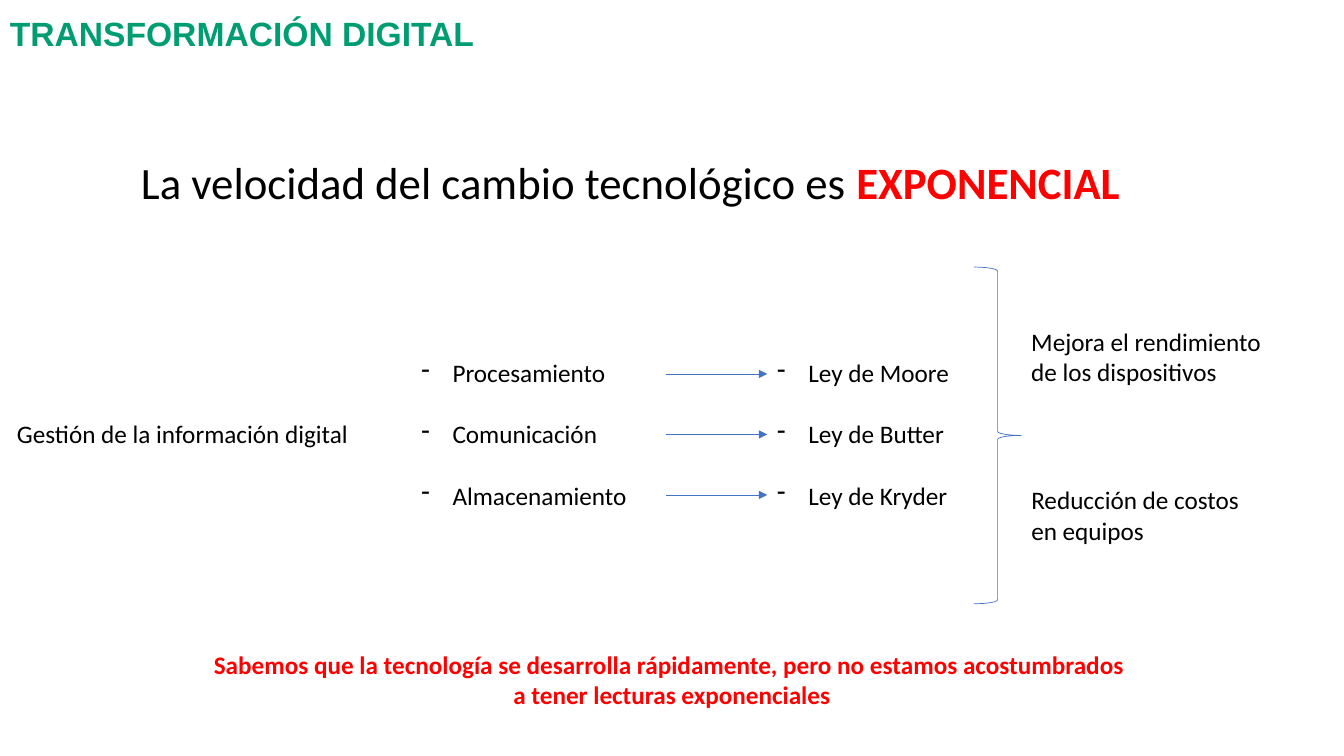
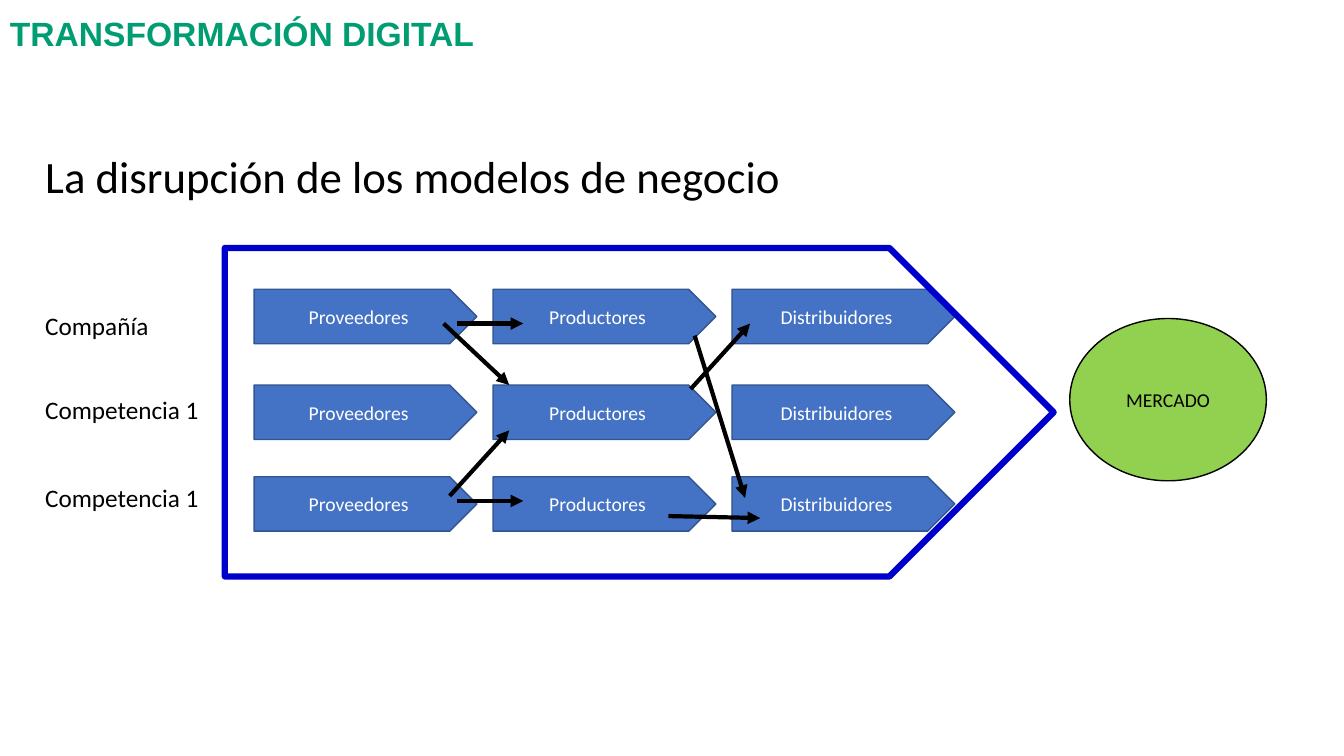
"""Build two slides on digital transformation: exponential change and disrupted business models."""
import dataclasses
import typing

import lxml.etree
import pptx
import pptx.dml.color
import pptx.enum.shapes
import pptx.enum.text
import pptx.oxml.ns
import pptx.util

Inches = pptx.util.Inches
Pt = pptx.util.Pt
RGBColor = pptx.dml.color.RGBColor
Shapes = pptx.enum.shapes.MSO_SHAPE
Align = pptx.enum.text.PP_ALIGN
Anchor = pptx.enum.text.MSO_ANCHOR
qn = pptx.oxml.ns.qn

BLACK = RGBColor(0x00, 0x00, 0x00)
WHITE = RGBColor(0xFF, 0xFF, 0xFF)
RED = RGBColor(0xFF, 0x00, 0x00)
TITLE_GREEN = RGBColor(0x00, 0x9D, 0x72)
BLUE = RGBColor(0x44, 0x72, 0xC4)
EDGE_BLUE = RGBColor(0x32, 0x54, 0x91)
FRAME_BLUE = RGBColor(0x00, 0x00, 0xCC)
MARKET_GREEN = RGBColor(0x92, 0xD0, 0x50)

TITLE = {"name": "Arial", "size": Pt(24), "bold": True}
HEADLINE = {"name": "Calibri", "size": Pt(32), "bold": False}
STRONG_HEADLINE = HEADLINE | {"bold": True}
BODY = {"name": "Calibri", "size": Pt(18), "bold": False}
STRONG_BODY = BODY | {"bold": True}
CAPTION = {"name": "Calibri", "size": Pt(14), "bold": False}


class Box(typing.NamedTuple):
    left: float
    top: float
    width: float
    height: float


class Run(typing.NamedTuple):
    text: str
    format: dict = BODY
    color: RGBColor = BLACK


class Outline(typing.NamedTuple):
    color: RGBColor
    points: float


@dataclasses.dataclass(frozen=True)
class Arrow:
    x1: float
    y1: float
    x2: float
    y2: float
    outline: Outline = Outline(BLACK, 3)


THIN_BLUE = Outline(BLUE, 0.5)
ROW_PITCH = 0.6
STAGES = ("Proveedores", "Productores", "Distribuidores")
COMPANIES = (
    ("Compañía", 3.03, 2.87),
    ("Competencia 1", 3.86, 3.82),
    ("Competencia 1", 4.74, 4.73),
)
FLOWS = (
    Arrow(4.4, 3.21, 5.05, 3.82),
    Arrow(4.53, 3.21, 5.19, 3.21),
    Arrow(4.53, 4.97, 5.19, 4.97),
    Arrow(4.46, 4.92, 5.05, 4.27),
    Arrow(6.85, 3.86, 7.44, 3.21),
    Arrow(6.89, 3.33, 7.39, 4.94),
    Arrow(6.63, 5.12, 7.54, 5.14),
)


def write(paragraph, runs: typing.Iterable[Run]) -> None:
    for part in runs:
        run = paragraph.add_run()
        run.text = part.text
        for attribute, value in part.format.items():
            setattr(run.font, attribute, value)
        run.font.color.rgb = part.color


def add_text(slide, box: Box, *lines: typing.Sequence[Run], align=Align.LEFT):
    textbox = slide.shapes.add_textbox(*map(Inches, box))
    frame = textbox.text_frame
    frame.word_wrap = True
    for index, runs in enumerate(lines):
        paragraph = frame.paragraphs[0] if index == 0 else frame.add_paragraph()
        paragraph.alignment = align
        write(paragraph, runs)
    return textbox


def add_dash_list(slide, box: Box, items: typing.Sequence[str]):
    dashes = add_text(slide, box, *([Run(item)] for item in items))
    for index, paragraph in enumerate(dashes.text_frame.paragraphs):
        paragraph.space_before = Pt(22 if index else 0)
        properties = paragraph._p.get_or_add_pPr()
        properties.set("marL", str(Inches(0.31)))
        properties.set("indent", str(-Inches(0.31)))
        lxml.etree.SubElement(properties, qn("a:buChar")).set("char", "-")
    return dashes


def add_figure(slide, kind, box: Box, outline: Outline,
               fill: RGBColor | None = None, caption: Run | None = None) -> None:
    figure = slide.shapes.add_shape(kind, *map(Inches, box))
    figure.shadow.inherit = False
    if fill is None:
        figure.fill.background()
    else:
        figure.fill.solid()
        figure.fill.fore_color.rgb = fill
    figure.line.color.rgb = outline.color
    figure.line.width = Pt(outline.points)
    if caption:
        figure.text_frame.vertical_anchor = Anchor.MIDDLE
        paragraph = figure.text_frame.paragraphs[0]
        paragraph.alignment = Align.CENTER
        write(paragraph, [caption])


def add_arrow(slide, arrow: Arrow):
    connector = slide.shapes.add_connector(
        pptx.enum.shapes.MSO_CONNECTOR.STRAIGHT,
        *map(Inches, (arrow.x1, arrow.y1, arrow.x2, arrow.y2)))
    connector.line.color.rgb = arrow.outline.color
    connector.line.width = Pt(arrow.outline.points)
    line = connector.line._get_or_add_ln()
    lxml.etree.SubElement(line, qn("a:tailEnd")).set("type", "triangle")
    lxml.etree.SubElement(connector._element.spPr, qn("a:effectLst"))
    return connector


def add_titled_slide(deck):
    slide = deck.slides.add_slide(deck.slide_layouts[6])
    title = add_text(slide, Box(0, 0, 11.5, 0.58),
                     [Run("TRANSFORMACIÓN DIGITAL", TITLE, TITLE_GREEN)])
    title.text_frame.vertical_anchor = Anchor.BOTTOM
    title.text_frame.paragraphs[0].line_spacing = 0.9
    return slide


def build_exponential_change(deck) -> None:
    slide = add_titled_slide(deck)
    add_text(slide, Box(1.3, 1.49, 11.27, 0.64),
             [Run("La velocidad del cambio tecnológico es ", HEADLINE),
              Run("EXPONENCIAL", STRONG_HEADLINE, RED)])
    add_text(slide, Box(0.07, 4.1, 3.82, 0.4), [Run("Gestión de la información digital")])
    add_dash_list(slide, Box(4.08, 3.5, 2.39, 1.62),
                  ("Procesamiento", "Comunicación", "Almacenamiento"))
    laws = add_dash_list(slide, Box(7.61, 3.5, 2.04, 1.62),
                         ("Ley de Moore", "Ley de Butter", "Ley de Kryder"))
    for row in range(3):
        y = 4.31 + (row - 1) * ROW_PITCH
        link = add_arrow(slide, Arrow(6.61, y, 7.61, y, THIN_BLUE))
        if row == 1:
            link.end_connect(laws, 1)
    add_figure(slide, Shapes.RIGHT_BRACE, Box(9.66, 2.65, 0.47, 3.34), THIN_BLUE)
    add_text(slide, Box(10.13, 3.19, 2.67, 0.71),
             [Run("Mejora el rendimiento")], [Run("de los dispositivos")])
    add_text(slide, Box(10.13, 4.76, 2.48, 0.71),
             [Run("Reducción de costos")], [Run("en equipos")])
    add_text(slide, Box(0, 6.39, 13.33, 0.71),
             [Run("Sabemos que la tecnología se desarrolla rápidamente, "
                  "pero no estamos acostumbrados ", STRONG_BODY, RED)],
             [Run("a tener lecturas exponenciales", STRONG_BODY, RED)],
             align=Align.CENTER)


def build_business_models(deck) -> None:
    slide = add_titled_slide(deck)
    add_text(slide, Box(0.35, 1.43, 8.32, 0.64),
             [Run("La disrupción de los modelos de negocio", HEADLINE)])
    for company, label_top, chain_top in COMPANIES:
        add_text(slide, Box(0.35, label_top, 1.87, 0.4), [Run(company)])
        for column, stage in enumerate(STAGES):
            add_figure(slide, Shapes.PENTAGON,
                       Box(2.52 + column * 2.37, chain_top, 2.21, 0.54),
                       Outline(EDGE_BLUE, 1), BLUE, Run(stage, CAPTION, WHITE))
    for flow in FLOWS:
        add_arrow(slide, flow)
    add_figure(slide, Shapes.PENTAGON, Box(2.23, 2.46, 8.22, 3.26), Outline(FRAME_BLUE, 4.5))
    add_figure(slide, Shapes.OVAL, Box(10.61, 3.16, 1.95, 1.61),
               Outline(BLACK, 1), MARKET_GREEN, Run("MERCADO", CAPTION))


def main() -> None:
    deck = pptx.Presentation()
    deck.slide_width = Inches(13.33)
    deck.slide_height = Inches(7.5)
    build_exponential_change(deck)
    build_business_models(deck)
    deck.save("out.pptx")


if __name__ == "__main__":
    main()
